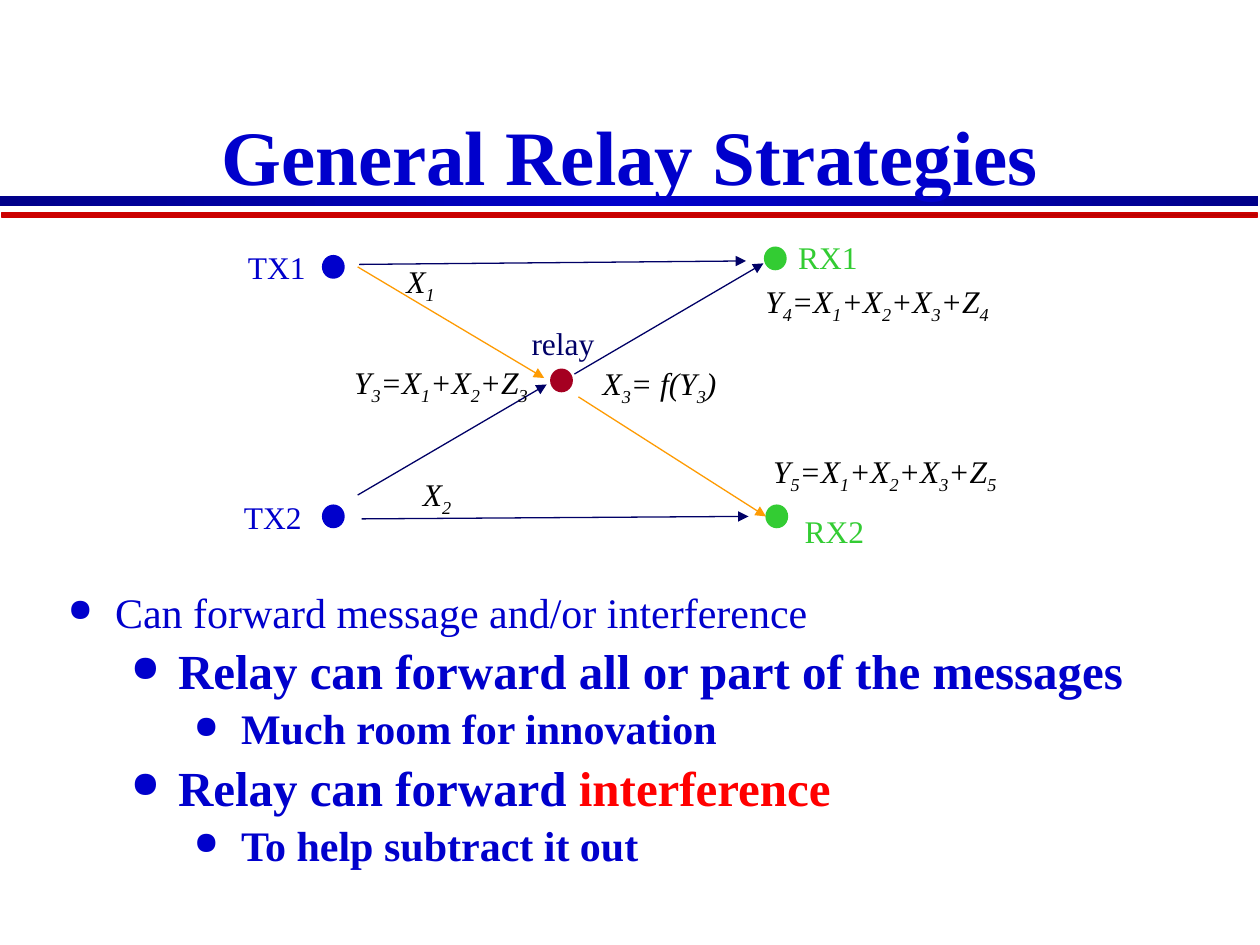
"""Build the slide on general relay strategies."""
from copy import deepcopy
from itertools import groupby

from lxml.etree import SubElement
from pptx import Presentation
from pptx.dml.color import RGBColor
from pptx.enum.shapes import MSO_CONNECTOR, MSO_SHAPE
from pptx.enum.text import MSO_ANCHOR, PP_ALIGN
from pptx.oxml.ns import qn
from pptx.util import Cm, Pt

BLUE = RGBColor(0x00, 0x00, 0xCC)
DEEP_BLUE = RGBColor(0x00, 0x00, 0x89)
NAVY = RGBColor(0x00, 0x00, 0x66)
RED = RGBColor(0xCC, 0x00, 0x00)
DARK_RED = RGBColor(0xB9, 0x00, 0x00)
BRIGHT_RED = RGBColor(0xFF, 0x00, 0x00)
CRIMSON = RGBColor(0xA5, 0x00, 0x21)
GREEN = RGBColor(0x33, 0xCC, 0x33)
ORANGE = RGBColor(0xFE, 0x9B, 0x03)
BLACK = RGBColor(0x00, 0x00, 0x00)

FONT = "Times New Roman"
DOT_WIDTH, DOT_HEIGHT = 0.46, 0.48
LABEL_HEIGHT = 1.02
INDENT, LEVEL_STEP = 0.95, 1.27

TITLE = "General Relay Strategies"
BARS = [
    ((0, 3.96, 25.37, 0.2), [DEEP_BLUE, BLUE, DEEP_BLUE], None),
    ((0.03, 4.29, 25.32, 0.08), [RED, DARK_RED], RED),
]
BULLETS = [
    (0, 24, False, [("Can forward message and/or interference", BLUE)]),
    (1, 28, True, [("Relay can forward all or part of the messages", BLUE)]),
    (2, 24, True, [("Much room for innovation", BLUE)]),
    (1, 28, True, [("Relay can forward ", BLUE), ("interference", BRIGHT_RED)]),
    (2, 24, True, [("To help subtract it out", BLUE)]),
]
NODES = [
    (6.72, 5.38, BLUE),
    (6.72, 10.41, BLUE),
    (11.32, 7.67, CRIMSON),
    (15.63, 5.21, GREEN),
    (15.66, 10.41, GREEN),
]
NODE_LABELS = [
    ("TX1", 3.99, 4.88, 3.18, BLUE),
    ("TX2", 3.91, 9.91, 3.18, BLUE),
    ("relay", 9.47, 6.4, 3.76, NAVY),
    ("RX1", 14.81, 4.67, 3.76, GREEN),
    ("RX2", 14.94, 10.19, 3.76, GREEN),
]
FORMULAS = [
    ("X1", 7.16, 5.16, 2.64),
    ("X2", 7.49, 9.45, 2.64),
    ("Y3=X1+X2+Z3", 6.68, 7.19, 4.42),
    ("X3= f(Y3)", 11.1, 7.21, 4.39),
    ("Y4=X1+X2+X3+Z4", 14.81, 5.56, 5.74),
    ("Y5=X1+X2+X3+Z5", 14.81, 8.99, 6.05),
]
ARROWS = [
    ((7.21, 9.98), (11.02, 7.75), NAVY),
    ((11.58, 7.54), (15.39, 5.31), NAVY),
    ((7.21, 5.38), (10.97, 7.62), ORANGE),
    ((11.66, 8), (15.44, 10.41), ORANGE),
    ((7.24, 5.33), (15.04, 5.26), NAVY),
    ((7.29, 10.46), (15.09, 10.41), NAVY),
]


def add_span(para, text, color, **values):
    span = para.add_run()
    span.text = text
    span.font.color.rgb = color
    for name, value in {"name": FONT, "size": Pt(18), **values}.items():
        setattr(span.font, name, value)
    return span


def add_box(page, place, **values):
    frame = page.shapes.add_textbox(*map(Cm, place)).text_frame
    for name, value in {"word_wrap": True, **values}.items():
        setattr(frame, name, value)
    return frame


def add_shape(page, kind, place):
    shape = page.shapes.add_shape(kind, *map(Cm, place))
    shape.shadow.inherit = False
    shape.line.fill.background()
    return shape


def add_bar(page, place, colors, outline):
    bar = add_shape(page, MSO_SHAPE.RECTANGLE, place)
    bar.fill.gradient()
    bar.fill.gradient_angle = 0
    stop_list = next(bar._element.spPr.iter(qn("a:gsLst")))
    for _ in colors[2:]:
        stop_list.append(deepcopy(stop_list[0]))
    for index, (stop, color) in enumerate(zip(bar.fill.gradient_stops, colors)):
        stop.position = index / (len(colors) - 1)
        stop.color.rgb = color
    if outline:
        bar.line.color.rgb = outline
        bar.line.width = Pt(1)


def add_node(page, x, y, color):
    place = (x - DOT_WIDTH / 2, y - DOT_HEIGHT / 2, DOT_WIDTH, DOT_HEIGHT)
    node = add_shape(page, MSO_SHAPE.OVAL, place)
    node.fill.solid()
    node.fill.fore_color.rgb = color


def add_arrow(page, start, end, color):
    arrow = page.shapes.add_connector(MSO_CONNECTOR.STRAIGHT, *map(Cm, start + end))
    arrow.line.color.rgb = color
    arrow.line.width = Pt(0.75)
    SubElement(arrow.line._get_or_add_ln(), qn("a:tailEnd"), type="triangle")
    SubElement(arrow._element.spPr, qn("a:effectLst"))


def add_label(page, left, top, width):
    para = add_box(page, (left, top, width, LABEL_HEIGHT)).paragraphs[0]
    para.alignment = PP_ALIGN.CENTER
    return para


def add_formula(page, text, left, top, width):
    para = add_label(page, left, top, width)
    for is_subscript, letters in groupby(text, str.isdigit):
        span = add_span(para, "".join(letters), BLACK, italic=True)
        if is_subscript:
            span._r.get_or_add_rPr().set("baseline", "-25000")


def add_bullets(page):
    frame = add_box(page, (1.12, 11.81, 24.28, 1.7))
    for index, (level, size, bold, spans) in enumerate(BULLETS):
        para = frame.add_paragraph() if index else frame.paragraphs[0]
        para.level = level
        para.line_spacing = 0.9
        para.space_before = Pt(size * 0.2 if index else 0)
        properties = para._p.get_or_add_pPr()
        properties.set("marL", str(Cm(INDENT + level * LEVEL_STEP)))
        properties.set("indent", str(-Cm(INDENT)))
        bullet_color = SubElement(properties, qn("a:buClr"))
        SubElement(bullet_color, qn("a:srgbClr"), val=str(BLUE))
        SubElement(properties, qn("a:buSzPct"), val="75000")
        SubElement(properties, qn("a:buChar"), char="●")
        for text, color in spans:
            add_span(para, text, color, size=Pt(size), bold=bold)


def main():
    deck = Presentation()
    deck.slide_width, deck.slide_height = Cm(25.4), Cm(19.05)
    page = deck.slides.add_slide(deck.slide_layouts[6])
    for bar in BARS:
        add_bar(page, *bar)
    title_place = (1.27, 0.99, 22.86, 3.18)
    title = add_box(page, title_place, vertical_anchor=MSO_ANCHOR.BOTTOM).paragraphs[0]
    title.alignment = PP_ALIGN.CENTER
    title.line_spacing = 0.8
    add_span(title, TITLE, BLUE, size=Pt(44), bold=True)
    add_bullets(page)
    for node in NODES:
        add_node(page, *node)
    for text, left, top, width, color in NODE_LABELS:
        add_span(add_label(page, left, top, width), text, color)
    for arrow in ARROWS:
        add_arrow(page, *arrow)
    for formula in FORMULAS:
        add_formula(page, *formula)
    deck.save("out.pptx")


if __name__ == "__main__":
    main()
